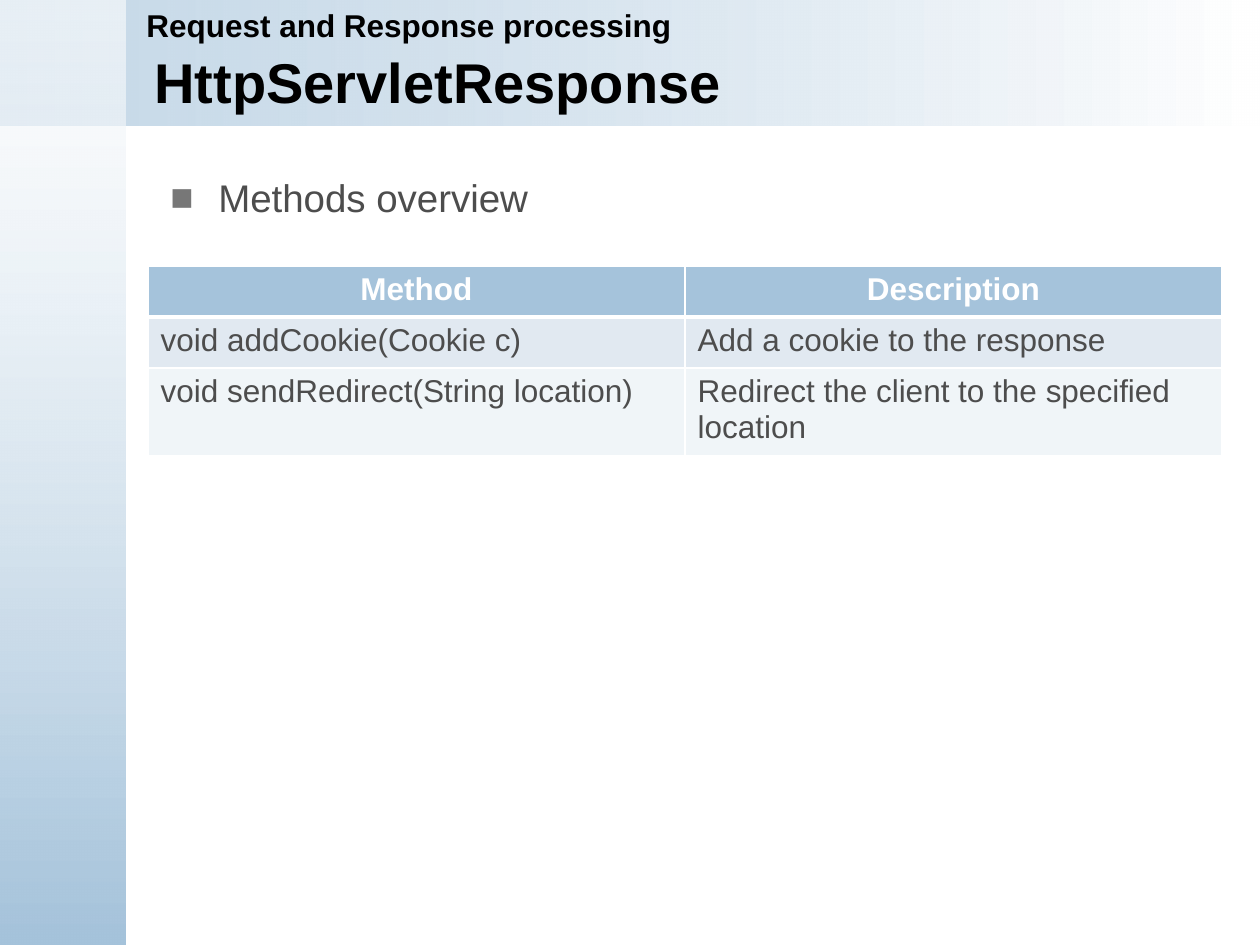
from lxml import etree
from pptx import Presentation
from pptx import util as u
from pptx.dml.color import RGBColor
from pptx.enum import shapes, text
from pptx.oxml import ns

PX = 914400 / 126
BLUE, WHITE, BLACK, GREY = "A5C3DB", "FFFFFF", "000000", "4D4D4D"
ROWS = [
    ("Method", "Description"),
    ("void addCookie(Cookie c)", "Add a cookie to the response"),
    ("void sendRedirect(String location)",
     "Redirect the client to the specified location"),
]
FILLS = [BLUE, "E1E9F1", "F0F5F8"]


def px(n):
    """Turn px into EMU."""
    return u.Emu(round(n * PX))


def hue(code):
    """Turn a hex string into a colour."""
    return RGBColor.from_string(code)


def sub(node, tag, **attrs):
    """Add a drawing element with attributes."""
    return etree.SubElement(node, ns.qn("a:" + tag), attrs)


def style(para, size, color, bold=False):
    """Format the runs of a paragraph."""
    for run in para.runs:
        font = run.font
        font.name, font.size, font.bold = "Arial", u.Pt(size), bold
        font.color.rgb = hue(color)


def band(slide, box, colors, alpha, angle):
    """Draw a gradient band whose first stop is translucent."""
    shape = slide.shapes.add_shape(
        shapes.MSO_SHAPE.RECTANGLE, *map(px, box))
    shape.shadow.inherit = False
    shape.line.fill.background()
    shape.fill.gradient()
    shape.fill.gradient_angle = angle
    for stop, color in zip(shape.fill.gradient_stops, colors):
        stop.color.rgb = hue(color)
    first = next(shape.fill._xPr.iter(ns.qn("a:srgbClr")))
    sub(first, "alpha", val=str(alpha * 1000))


def label(slide, box, words, size, color, bold=False):
    """Place a line of text and return its paragraph."""
    frame = slide.shapes.add_textbox(*map(px, box)).text_frame
    frame.word_wrap = True
    frame.vertical_anchor = text.MSO_ANCHOR.MIDDLE
    frame.text = words
    para = frame.paragraphs[0]
    style(para, size, color, bold)
    return para


def header(slide, box):
    """Place the topic and the title in the header box."""
    x, y, w, h = box
    label(slide, (x + 8, y, w - 8, 50),
          "Request and Response processing", 18, BLACK, True)
    label(slide, (x + 16, y + 45, w - 69, 72),
          "HttpServletResponse", 32, BLACK, True)


def bullet(slide, box, words):
    """Place a line with a square bullet."""
    para = label(slide, box, words, 22, GREY)
    props = para._p.get_or_add_pPr()
    props.set("marL", str(px(48)))
    props.set("indent", str(px(-48)))
    sub(sub(props, "buClr"), "srgbClr", val="777777")
    sub(props, "buFont", typeface="Arial")
    sub(props, "buChar", char="■")


def border(cell, head):
    """Add white borders, thicker below the head row."""
    props = cell._tc.get_or_add_tcPr()
    for side in "LRTB":
        thick = 3 if (head and side == "B") else 1
        line = sub(props, "ln" + side, w=str(u.Pt(thick)))
        sub(sub(line, "solidFill"), "srgbClr", val=WHITE)


def table(slide, box, highs):
    """Place the table of methods with equal columns."""
    grid = slide.shapes.add_table(
        len(ROWS), len(ROWS[0]), *map(px, box)).table
    for r, (row, high, fill) in enumerate(zip(ROWS, highs, FILLS)):
        grid.rows[r].height = px(high)
        head = r == 0
        for c, words in enumerate(row):
            cell = grid.cell(r, c)
            border(cell, head)
            cell.fill.solid()
            cell.fill.fore_color.rgb = hue(fill)
            cell.text_frame.text = words
            para = cell.text_frame.paragraphs[0]
            if head:
                para.alignment = text.PP_ALIGN.CENTER
            style(para, 18, WHITE if head else GREY, head)


def main():
    """Build the slide and save it."""
    deck = Presentation()
    deck.slide_width, deck.slide_height = px(1260), px(945)
    slide = deck.slides.add_slide(deck.slide_layouts[6])
    band(slide, (0, 0, 1260, 126), (BLUE, WHITE), 62, 0)
    band(slide, (0, 0, 126, 945), (WHITE, BLUE), 59, 270)
    header(slide, (126, 0, 1134, 126))
    bullet(slide, (158, 168, 1043, 59), "Methods overview")
    table(slide, (148, 266, 1074, 190), (51, 51, 88))
    deck.save("out.pptx")


if __name__ == "__main__":
    main()
